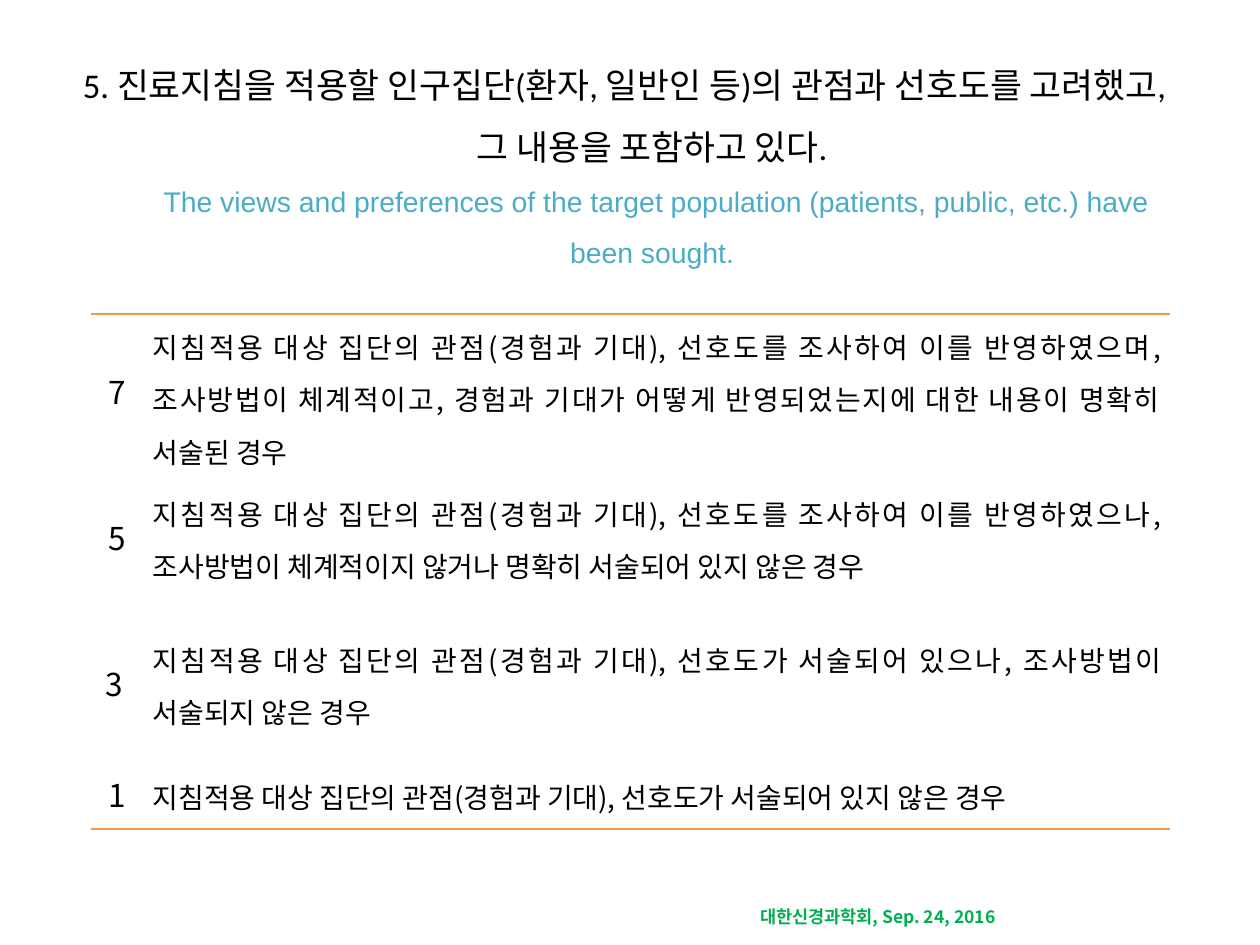
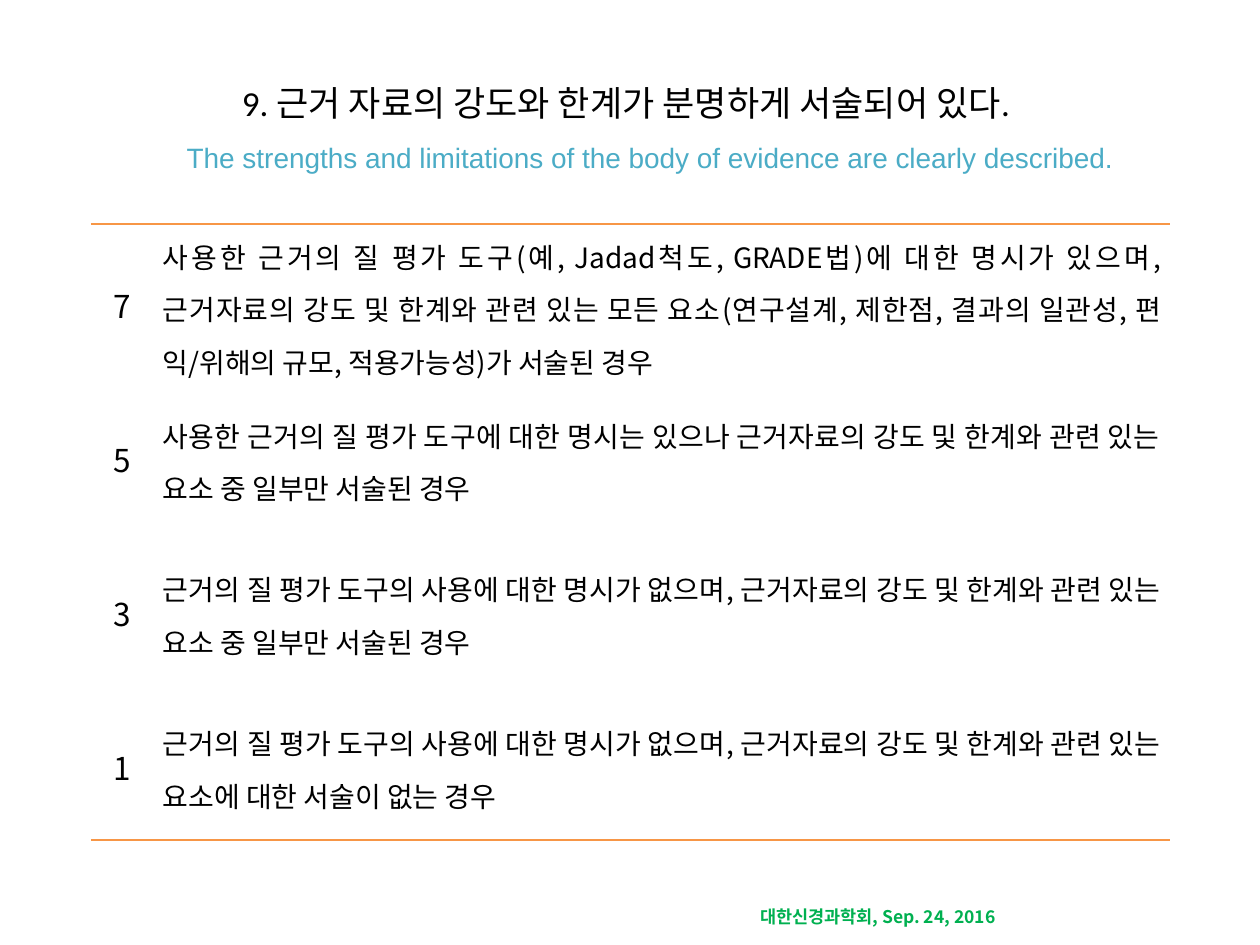
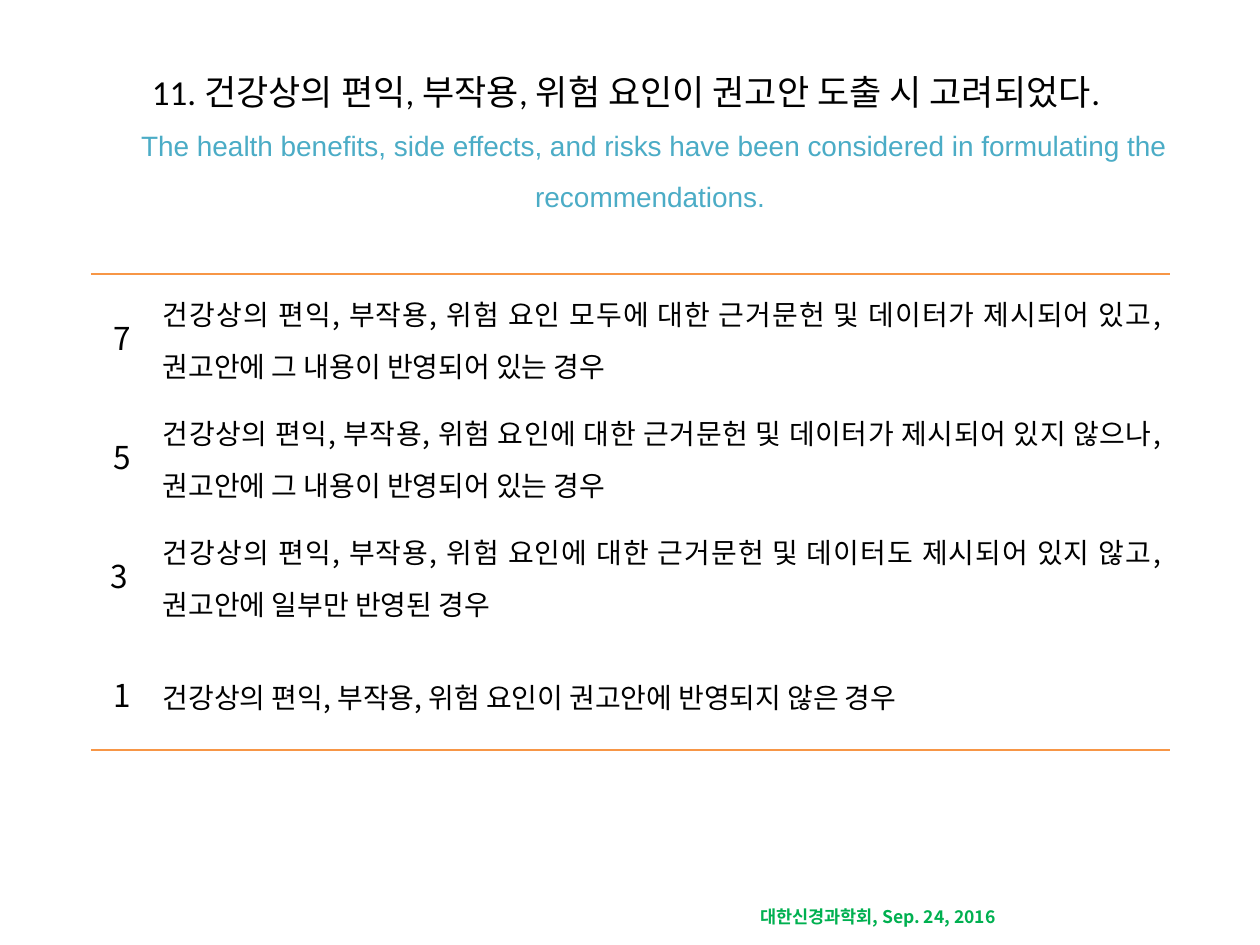
import pptx
import pptx.dml.color
import pptx.enum.text
import pptx.oxml
import pptx.oxml.ns
import pptx.util

COLORS = {"ink": "000000", "teal": "4BACC6", "line": "F79646", "foot": "00B050"}
FONT = "Noto Sans CJK KR"
FOOTER = "대한신경과학회, Sep. 24, 2016"
ALIGN = pptx.enum.text.PP_ALIGN
MIDDLE = pptx.enum.text.MSO_ANCHOR.MIDDLE
PLAIN = "{2D5ABB26-0587-4C30-8999-92F81FD0307C}"
LEFT, WIDTH = 91, 1079

# One entry per slide: title box, indent, type sizes, texts and score table
SLIDES = [
    dict(
        box=(63, 77, 1123, 158), indent=63, sizes=(19.8, 16.2),
        title="5. 진료지침을 적용할 인구집단(환자, 일반인 등)의 관점과 선호도를 고려했고, 그 내용을 포함하고 있다. ",
        sub="The views and preferences of the target population (patients, public, etc.) have been sought. ",
        top=314, score=53, heights=(146, 146, 146, 77),
        rows=[
            ("7", "지침적용 대상 집단의 관점(경험과 기대), 선호도를 조사하여 이를 반영하였으며, 조사방법이 체계적이고, 경험과 기대가 어떻게 반영되었는지에 대한 내용이 명확히 서술된 경우"),
            ("5", "지침적용 대상 집단의 관점(경험과 기대), 선호도를 조사하여 이를 반영하였으나, 조사방법이 체계적이지 않거나 명확히 서술되어 있지 않은 경우"),
            ("3 ", "지침적용 대상 집단의 관점(경험과 기대), 선호도가 서술되어 있으나, 조사방법이 서술되지 않은 경우"),
            ("1", "지침적용 대상 집단의 관점(경험과 기대), 선호도가 서술되어 있지 않은 경우"),
        ]),
    dict(
        box=(63, 38, 1134, 158), indent=48, sizes=(20, 16),
        title="9. 근거 자료의 강도와 한계가 분명하게 서술되어 있다. ",
        sub="The strengths and limitations of the body of evidence are clearly described. ",
        top=224, score=63, heights=(154,) * 4,
        rows=[
            ("7", "사용한 근거의 질 평가 도구(예, Jadad척도, GRADE법)에 대한 명시가 있으며, 근거자료의 강도 및 한계와 관련 있는 모든 요소(연구설계, 제한점, 결과의 일관성, 편익/위해의 규모, 적용가능성)가 서술된 경우"),
            ("5", "사용한 근거의 질 평가 도구에 대한 명시는 있으나 근거자료의 강도 및 한계와 관련 있는 요소 중 일부만 서술된 경우"),
            ("3", "근거의 질 평가 도구의 사용에 대한 명시가 없으며, 근거자료의 강도 및 한계와 관련 있는 요소 중 일부만 서술된 경우"),
            ("1", "근거의 질 평가 도구의 사용에 대한 명시가 없으며, 근거자료의 강도 및 한계와 관련 있는 요소에 대한 서술이 없는 경우"),
        ]),
    dict(
        box=(63, 38, 1134, 186), indent=48, sizes=(20, 16),
        title="11. 건강상의 편익, 부작용, 위험 요인이 권고안 도출 시 고려되었다. ",
        sub="The health benefits, side effects, and risks have been considered in formulating the recommendations. ",
        top=274, score=63, heights=(119,) * 4,
        rows=[
            ("7", "건강상의 편익, 부작용, 위험 요인 모두에 대한 근거문헌 및 데이터가 제시되어 있고, 권고안에 그 내용이 반영되어 있는 경우"),
            ("5", "건강상의 편익, 부작용, 위험 요인에 대한 근거문헌 및 데이터가 제시되어 있지 않으나, 권고안에 그 내용이 반영되어 있는 경우"),
            ("3 ", "건강상의 편익, 부작용, 위험 요인에 대한 근거문헌 및 데이터도 제시되어 있지 않고, 권고안에 일부만 반영된 경우"),
            ("1", "건강상의 편익, 부작용, 위험 요인이 권고안에 반영되지 않은 경우"),
        ]),
]


def px(n):
    return pptx.util.Emu(round(n * 914400 / 126))


def style(run, size, color, font=FONT, bold=False):
    run.font.size = pptx.util.Pt(size)
    run.font.bold = bold
    run.font.color.rgb = pptx.dml.color.RGBColor.from_string(COLORS[color])
    run.font.name = font
    # Hangul face
    east = pptx.oxml.parse_xml(f'<a:ea {pptx.oxml.ns.nsdecls("a")} typeface="{FONT}"/>')
    run.font._element.find(pptx.oxml.ns.qn("a:latin")).addnext(east)


def add_box(slide, box):
    frame = slide.shapes.add_textbox(*map(px, box)).text_frame
    frame.word_wrap = True
    return frame


def add_title(slide, page):
    frame = add_box(slide, page["box"])
    frame.vertical_anchor = MIDDLE
    para = frame.paragraphs[0]
    para.text = page["title"] + "\v" + page["sub"]
    para.alignment = ALIGN.CENTER
    para.line_spacing = 1.5
    props = para._p.get_or_add_pPr()
    props.set("marL", str(px(page["indent"])))
    props.set("indent", str(-px(page["indent"])))
    head, sub = para.runs
    style(head, page["sizes"][0], "ink", "Calibri")
    style(sub, page["sizes"][1], "teal", "Arial")


def add_rule(cell, side):
    line = pptx.oxml.parse_xml(
        f'<a:{side} {pptx.oxml.ns.nsdecls("a")} w="12700"><a:solidFill>'
        f'<a:srgbClr val="{COLORS["line"]}"/></a:solidFill></a:{side}>')
    cell._tc.get_or_add_tcPr().insert(0, line)


def fill_cell(cell, text, size, align, space):
    cell.fill.background()
    cell.vertical_anchor = MIDDLE
    cell.margin_left = cell.margin_right = px(9)
    cell.margin_top = cell.margin_bottom = 0
    para = cell.text_frame.paragraphs[0]
    para.text = text
    para.alignment = align
    para.line_spacing = space
    style(para.runs[0], size, "ink")


def add_scores(slide, page):
    rows, heights = page["rows"], page["heights"]
    shape = slide.shapes.add_table(
        len(rows), 2, px(LEFT), px(page["top"]), px(WIDTH), px(sum(heights)))
    table = shape.table
    table.first_row = table.horz_banding = False
    table._tbl.tblPr[0].text = PLAIN
    table.columns[0].width = px(page["score"])
    table.columns[1].width = px(WIDTH - page["score"])
    for i, (score, text) in enumerate(rows):
        table.rows[i].height = px(heights[i])
        fill_cell(table.cell(i, 0), score, 18, ALIGN.CENTER, 1.15)
        fill_cell(table.cell(i, 1), text, 16, ALIGN.JUSTIFY, 1.3)
    # Rules above the first row and below the last
    for col in range(2):
        add_rule(table.cell(0, col), "lnT")
        add_rule(table.cell(len(rows) - 1, col), "lnB")


def add_footer(slide):
    frame = add_box(slide, (748, 900, 307, 34))
    frame.text = FOOTER
    style(frame.paragraphs[0].runs[0], 10, "foot", bold=True)


def main():
    deck = pptx.Presentation()
    deck.slide_width, deck.slide_height = px(1260), px(945)
    for page in SLIDES:
        slide = deck.slides.add_slide(deck.slide_layouts[6])
        add_footer(slide)
        add_title(slide, page)
        add_scores(slide, page)
    deck.save("out.pptx")


if __name__ == "__main__":
    main()
